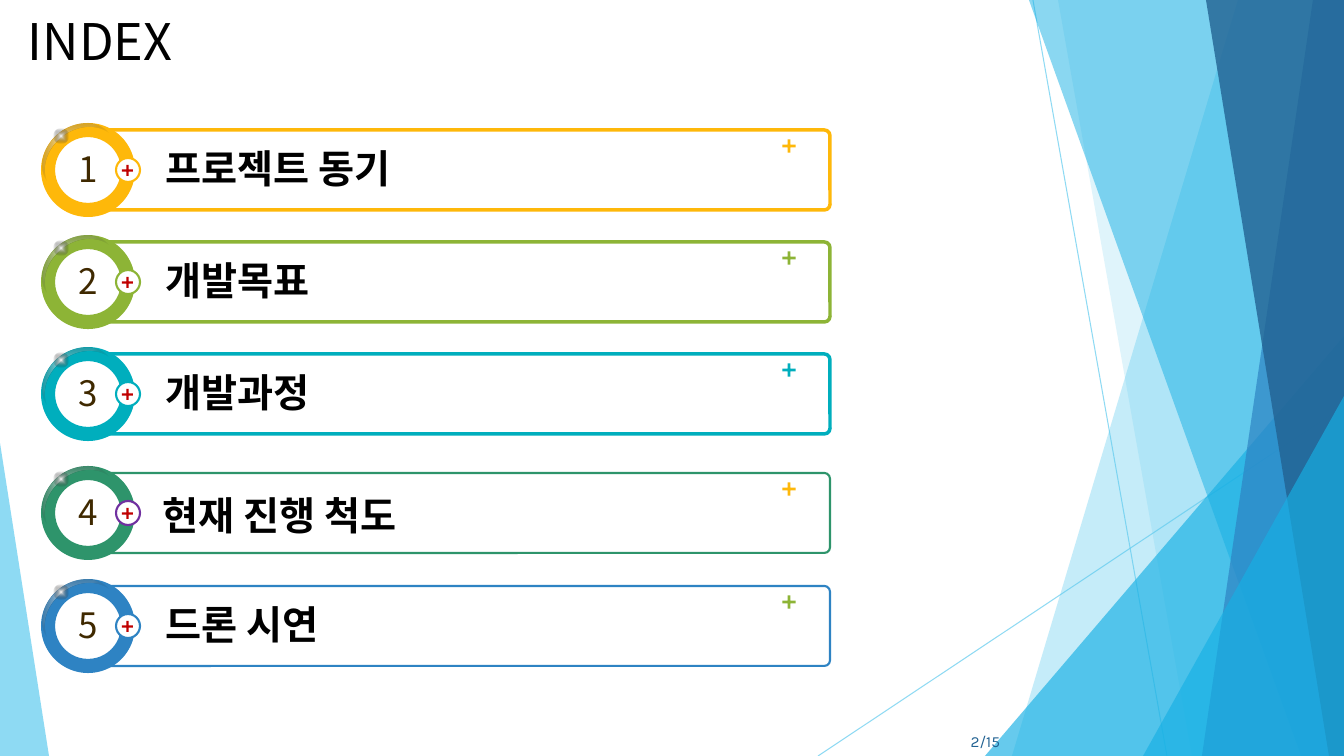
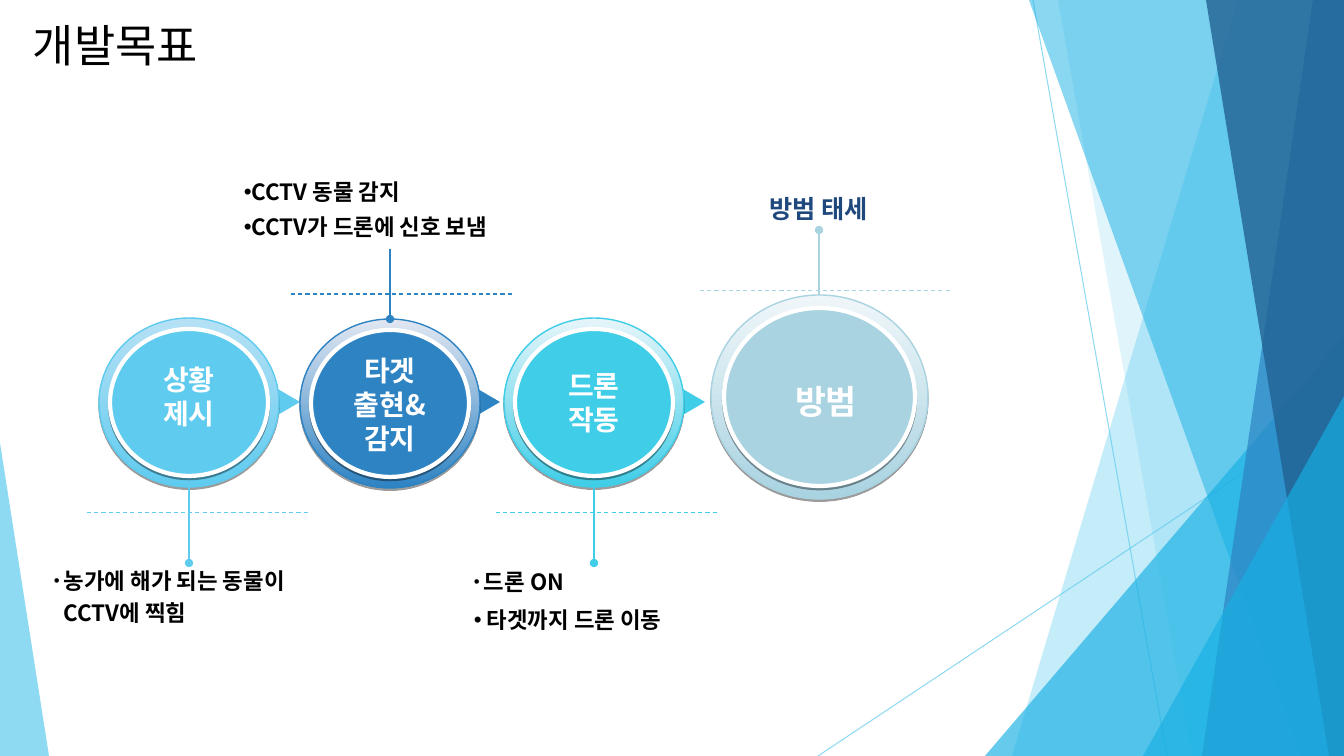
import lxml.etree
import pptx
import pptx.dml.color
import pptx.enum.dml
import pptx.enum.shapes
import pptx.enum.text
import pptx.oxml.ns
import pptx.util

RGB = pptx.dml.color.RGBColor
SHAPE = pptx.enum.shapes.MSO_SHAPE
ALIGN = pptx.enum.text.PP_ALIGN
ANCHOR = pptx.enum.text.MSO_ANCHOR
DASH = pptx.enum.dml.MSO_LINE.DASH
qn = pptx.oxml.ns.qn
Pt = pptx.util.Pt

WIDTH, HEIGHT = 1344, 756
SCALE = 12192000 / WIDTH
FONT = "Noto Sans CJK KR"

WHITE = RGB(0xFF, 0xFF, 0xFF)
BLACK = RGB(0, 0, 0)
SKY = RGB(0x5F, 0xCB, 0xEF)
AZURE = RGB(0x17, 0xB0, 0xE4)
BLUE = RGB(0x2E, 0x83, 0xC3)
NAVY = RGB(0x22, 0x62, 0x92)
INK_BLUE = RGB(0x1F, 0x49, 0x7D)
AQUA = RGB(0x3F, 0xCD, 0xE7)
MIST = RGB(0xA9, 0xD3, 0xE1)
AMBER = RGB(0xFE, 0xB8, 0x0A)
LIME = RGB(0x8D, 0xB4, 0x36)
TEAL = RGB(0x00, 0xAE, 0xBD)
GREEN = RGB(0x2E, 0x94, 0x6B)
PURPLE = RGB(0x70, 0x30, 0xA0)
RED = RGB(0xC0, 0, 0)
BROWN = RGB(0x3F, 0x29, 0)
PALE_SKY = RGB(0xB6, 0xE1, 0xF5)
PALE_AQUA = RGB(0xE6, 0xF5, 0xFA)
PALE_BLUE = RGB(0xE1, 0xE7, 0xF2)
PALE_MIST = RGB(0xEF, 0xF6, 0xF9)

GLOSS = [(10, WHITE, 60), (100, BLACK, 0)]
GLINT = [(0, WHITE, 100), (100, BLACK, 0)]


def px(length):
    return pptx.util.Emu(round(length * SCALE))


def child(parent, tag, **attributes):
    values = {name: str(value) for name, value in attributes.items()}
    return lxml.etree.SubElement(parent, qn(tag), values)


def set_alpha(parent, percent):
    color = next(parent.iter(qn("a:srgbClr")))
    child(color, "a:alpha", val=percent * 1000)


class Painter:
    def __init__(self):
        self.deck = pptx.Presentation()
        self.deck.slide_width = px(WIDTH)
        self.deck.slide_height = px(HEIGHT)
        self.slide = None

    def start_slide(self, title, left, top, size):
        self.slide = self.deck.slides.add_slide(self.deck.slide_layouts[6])
        self.backdrop()
        self.text([title], left, top, 500, 72, size, bold=False)

    def backdrop(self):
        self.line(1033, 0, 1167, HEIGHT, SKY, alpha=70)
        self.line(WIDTH, 406, 818, HEIGHT, SKY, alpha=70)
        self.veil(1238, 1012, SKY, 36)
        self.veil(1058, 1192, SKY, 20)
        self.corner(985, 336, 359, 1, AZURE, 66)
        self.veil(1029, 1301, AZURE, 50)
        self.veil(1313, 1202, BLUE, 70)
        self.veil(1206, 1329, NAVY, 80)
        self.corner(1143, 396, 201, 1, AZURE, 66)
        self.corner(0, 443, 49, 0, SKY, 70)

    def veil(self, top_x, bottom_x, color, alpha):
        builder = self.slide.shapes.build_freeform(top_x, 0, scale=SCALE)
        builder.add_line_segments([(WIDTH, 0), (WIDTH, HEIGHT), (bottom_x, HEIGHT)])
        self.paint(builder.convert_to_shape(), color, alpha=alpha)

    def corner(self, left, top, width, apex, color, alpha):
        self.shape(SHAPE.ISOSCELES_TRIANGLE, left, top, width, HEIGHT - top,
                   color, adjust=apex, alpha=alpha)

    def paint(self, shape, fill, line=None, weight=1, alpha=None):
        shape.shadow.inherit = False
        if fill is None:
            shape.fill.background()
        else:
            shape.fill.solid()
            shape.fill.fore_color.rgb = fill
        if alpha is not None:
            set_alpha(shape._element.spPr, alpha)
        if line is None:
            shape.line.fill.background()
        else:
            shape.line.color.rgb = line
            shape.line.width = Pt(weight)

    def shape(self, kind, left, top, width, height, fill, line=None, weight=1,
              adjust=None, turn=0, alpha=None):
        shape = self.slide.shapes.add_shape(kind, px(left), px(top), px(width), px(height))
        if adjust is not None:
            shape.adjustments[0] = adjust
        shape.rotation = turn
        self.paint(shape, fill, line, weight, alpha)
        return shape

    def gradient(self, shape, stops, radial):
        properties = shape._element.spPr
        gradient = lxml.etree.Element(qn("a:gradFill"), {"rotWithShape": "1"})
        stop_list = child(gradient, "a:gsLst")
        for position, color, alpha in stops:
            stop = child(stop_list, "a:gs", pos=position * 1000)
            tint = child(stop, "a:srgbClr", val=color)
            if alpha < 100:
                child(tint, "a:alpha", val=alpha * 1000)
        if radial:
            focus = child(gradient, "a:path", path="shape")
            child(focus, "a:fillToRect", l=50000, t=50000, r=50000, b=50000)
        else:
            child(gradient, "a:lin", ang=5400000, scaled=0)
        properties.replace(properties.find(qn("a:noFill")), gradient)

    def drop_shadow(self, shape):
        effects = shape._element.spPr.find(qn("a:effectLst"))
        shadow = child(effects, "a:outerShdw", blurRad=0, dist=20000, dir=5400000,
                       algn="t", rotWithShape=0)
        color = child(shadow, "a:srgbClr", val=BLACK)
        child(color, "a:alpha", val=38000)

    def line(self, x1, y1, x2, y2, color, weight=0.75, dash=None, oval=False, alpha=None):
        line = self.slide.shapes.add_connector(
            pptx.enum.shapes.MSO_CONNECTOR.STRAIGHT, px(x1), px(y1), px(x2), px(y2))
        line.line.color.rgb = color
        line.line.width = Pt(weight)
        if dash:
            line.line.dash_style = dash
        properties = line._element.spPr
        if alpha is not None:
            set_alpha(properties, alpha)
        if oval:
            child(properties.find(qn("a:ln")), "a:tailEnd", type="oval")
        child(properties, "a:effectLst")

    def text(self, lines, left, top, width, height, size, color=BLACK, bold=True,
             align=ALIGN.LEFT, font=FONT, anchor=ANCHOR.TOP, wrap=True):
        box = self.slide.shapes.add_textbox(px(left), px(top), px(width), px(height))
        frame = box.text_frame
        frame.word_wrap = wrap
        frame.vertical_anchor = anchor
        for index, words in enumerate(lines):
            para = frame.add_paragraph() if index else frame.paragraphs[0]
            para.alignment = align
            span = para.add_run()
            span.text = words
            span.font.size = Pt(size)
            span.font.bold = bold
            span.font.color.rgb = color
            span.font.name = font
            child(span._r.get_or_add_rPr(), "a:ea", typeface=font)
        return frame

    def bullets(self, items, left, top, width, height, spacing=None):
        frame = self.text([words for words, *_ in items], left, top, width, height, 16)
        for para, (_, indent, bullet_size, before) in zip(frame.paragraphs, items):
            para.space_before = Pt(before)
            if spacing:
                para.line_spacing = spacing
            properties = para._p.get_or_add_pPr()
            properties.set("marL", str(px(indent)))
            if bullet_size:
                properties.set("indent", str(-px(indent)))
                child(properties, "a:buSzPct", val=bullet_size * 1000)
                child(properties, "a:buFont", typeface="Arial")
                child(properties, "a:buChar", char="•")

    def index_row(self, number, label, top, color, weight, plus, badge, label_x, label_drop):
        self.shape(SHAPE.ROUNDED_RECTANGLE, 85, top, 745, 80, WHITE, color, weight, 0.07)
        self.shape(SHAPE.MATH_PLUS, 780, top + 7, 18, 18, plus, adjust=0.15)
        self.shape(SHAPE.OVAL, 46, top - 2, 85, 85, WHITE)
        self.shape(SHAPE.DONUT, 41, top - 7, 94, 94, color, adjust=0.15)
        self.shape(SHAPE.OVAL, 116, top + 28, 24, 24, WHITE, badge, 1.5)
        self.shape(SHAPE.MATH_PLUS, 120, top + 33, 15, 15, RED, adjust=0.15)
        moon = self.shape(SHAPE.MOON, 54, top - 23, 31, 77, None, adjust=0.15, turn=52.8)
        self.gradient(moon, GLOSS, True)
        glint = self.shape(SHAPE.OVAL, 54, top - 1, 14, 14, None)
        self.gradient(glint, GLINT, True)
        self.text([str(number)], 67, top + 13, 42, 52, 25, BROWN, False, ALIGN.CENTER,
                  wrap=False)
        self.text([label], label_x, top + label_drop, 630, 57, 28)

    def disc(self, left, top, width, height, rim, color, pale):
        outer = self.shape(SHAPE.OVAL, left, top, width, height, None, color)
        self.gradient(outer, [(0, pale, 100), (100, color, 100)], False)
        inner = self.shape(SHAPE.OVAL, left + rim, top + rim, width - 2 * rim,
                           height - 2 * rim, color, WHITE, 3)
        for ring in (outer, inner):
            self.drop_shadow(ring)


def build_index(painter):
    painter.start_slide("INDEX", 18, 5, 36)
    rows = [
        ("프로젝트 동기", 130, AMBER, 2.5, AMBER, AMBER, 156, 9),
        ("개발목표", 242, LIME, 2.5, LIME, LIME, 156, 9),
        ("개발과정", 354, TEAL, 2.5, TEAL, TEAL, 156, 9),
        ("현재 진행 척도", 473, GREEN, 1.5, AMBER, PURPLE, 153, 13),
        ("드론 시연", 586, BLUE, 1.5, LIME, BLUE, 156, 9),
    ]
    for number, row in enumerate(rows, 1):
        painter.index_row(number, *row)
    painter.text(["2/15"], 949, 727, 61, 28, 11, NAVY, False, ALIGN.RIGHT, "Karla",
                 ANCHOR.MIDDLE)


def build_goals(painter):
    painter.start_slide("개발목표", 23, 13, 32)
    for left, color in ((261, SKY), (461, BLUE), (666, AQUA)):
        painter.shape(SHAPE.ISOSCELES_TRIANGLE, left, 384, 42, 36, color, adjust=0.5, turn=90)

    stages = [
        (["상황", "제시"], 99, 318, 358, SKY, PALE_SKY),
        (["드론", "작동"], 504, 318, 364, AQUA, PALE_AQUA),
        (["타겟", "출현&", "감지"], 300, 319, 349, BLUE, PALE_BLUE),
    ]
    for words, left, top, label_top, color, pale in stages:
        painter.disc(left, top, 180, 169, 11, color, pale)
        painter.text(words, left + 23, label_top, 134, 34 * len(words) + 10, 20, WHITE,
                     align=ALIGN.CENTER)
    painter.disc(711, 295, 217, 204, 13, MIST, PALE_MIST)
    painter.text(["방범"], 728, 376, 196, 50, 24, WHITE, align=ALIGN.CENTER)

    leaders = [
        (189, 487, 563, SKY, 87, 308, 513),
        (594, 487, 563, AQUA, 496, 718, 513),
        (390, 249, 319, BLUE, 291, 513, 294),
        (819, 295, 230, MIST, 700, 951, 291),
    ]
    for x, start, end, color, left, right, level in leaders:
        painter.line(left, level, right, level, color, dash=DASH)
        painter.line(x, start, x, end, color, 1.5, oval=True)

    painter.bullets([("농가에 해가 되는 동물이", 10, 75, 8), ("CCTV에 찍힘", 10, None, 4)],
                    44, 562, 290, 72)
    painter.bullets([("드론 ON", 10, 75, 8), ("타겟까지 드론 이동", 13, 100, 8)],
                    464, 563, 262, 78)
    painter.bullets([("CCTV 동물 감지", 7, 100, 8), ("CCTV가 드론에 신호 보냄", 7, 100, 8)],
                    234, 176, 312, 73, 0.9)
    painter.text(["방범 태세"], 682, 188, 274, 40, 18, INK_BLUE, align=ALIGN.CENTER)


def main():
    painter = Painter()
    build_index(painter)
    build_goals(painter)
    painter.deck.save("out.pptx")


if __name__ == "__main__":
    main()
